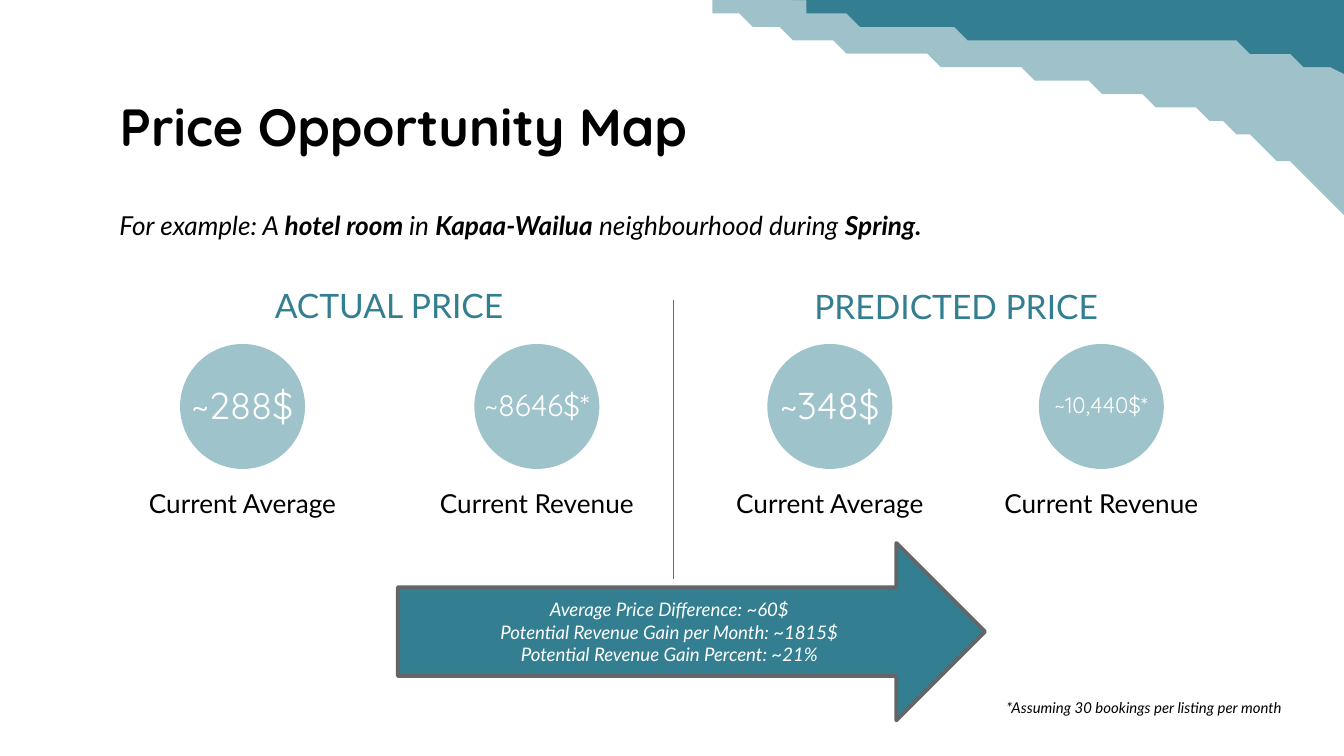
from dataclasses import dataclass
from lxml import etree
from pptx import Presentation
from pptx.dml.color import RGBColor
from pptx.enum.shapes import MSO_CONNECTOR, MSO_SHAPE
from pptx.enum.text import MSO_ANCHOR, MSO_AUTO_SIZE, PP_ALIGN
from pptx.oxml.ns import qn
from pptx.util import Inches, Pt

LEFT, MID, RIGHT = PP_ALIGN.LEFT, PP_ALIGN.CENTER, PP_ALIGN.RIGHT
TOP, CORE = MSO_ANCHOR.TOP, MSO_ANCHOR.MIDDLE
FIXED = MSO_AUTO_SIZE.NONE
OVAL, ARROW = MSO_SHAPE.OVAL, MSO_SHAPE.RIGHT_ARROW
STRAIGHT = MSO_CONNECTOR.STRAIGHT
COLS, ROWS = 100, 56.25
CELL = Inches(10) / COLS


@dataclass(frozen=True)
class Theme:
    teal: str = "337E90"
    mist: str = "9FC3CB"
    edge: str = "636567"
    ink: str = "000000"
    white: str = "FFFFFF"
    body: str = "Lato"
    head: str = "Quicksand"
    title: int = 28
    group: int = 18
    text: int = 14
    gain: int = 10
    note: int = 8


THEME = Theme()


@dataclass(frozen=True)
class Box:
    col: float
    row: float
    cols: float
    rows: float

    def emu(self) -> tuple:
        return tuple(cells(n) for n in (self.col, self.row, self.cols, self.rows))


@dataclass(frozen=True)
class Style:
    size: int
    color: str = THEME.ink
    font: str = THEME.body
    bold: bool = False
    italic: bool = False
    align: PP_ALIGN = MID
    anchor: MSO_ANCHOR = TOP
    after: int = 0
    pad: float = 1


@dataclass(frozen=True)
class Stat:
    center: float
    value: str
    size: int
    label: str


@dataclass(frozen=True)
class Wave:
    start: tuple
    edge: tuple
    curve: tuple
    alpha: int = 100


WAVES = (
    Wave((47.3, -3.4), ((101.6, -10.9), (106.1, 22.1)),
         ((85.3, -3.4), (64.5, 11.1)), 47),
    Wave((53.9, -2.6), ((106.9, -16.4), (115.3, 15.8)),
         ((91.6, -7.1), (72.7, 9.7))),
)
GROUPS = (("ACTUAL PRICE", Box(7.9, 20.2, 42.1, 4.6)),
          ("PREDICTED PRICE", Box(50.1, 20.3, 42.1, 4.6)))
STATS = (
    Stat(18.05, "~288$", 20, "Current Average"),
    Stat(39.95, "~8646$*", 16, "Current Revenue"),
    Stat(61.75, "~348$", 20, "Current Average"),
    Stat(81.95, "~10,440$*", 12, "Current Revenue"),
)
INTRO = (("For example: A ", False), ("hotel room ", True), ("in ", False),
         ("Kapaa-Wailua", True), (" neighbourhood during ", False), ("Spring.", True))
GAINS = ("Average Price Difference: ~60$",
         "Potential Revenue Gain per Month: ~1815$",
         "Potential Revenue Gain Percent: ~21%")


def cells(count: float) -> int:
    return round(count * CELL)


def assign(target, values: dict) -> None:
    for name, value in values.items():
        setattr(target, name, value)


def write(shape, lines: tuple, style: Style) -> None:
    frame = shape.text_frame
    assign(frame, dict(word_wrap=True, auto_size=FIXED, vertical_anchor=style.anchor,
                       margin_left=cells(1), margin_right=cells(1),
                       margin_top=cells(style.pad), margin_bottom=cells(style.pad)))
    for index, line in enumerate(lines):
        para = frame.add_paragraph() if index else frame.paragraphs[0]
        assign(para, dict(alignment=style.align, space_after=Pt(style.after)))
        for text, bold in line:
            run = para.add_run()
            run.text = text
            assign(run.font, dict(name=style.font, size=Pt(style.size),
                                  bold=bold, italic=style.italic))
            run.font.color.rgb = RGBColor.from_string(style.color)


def plain(text: str, bold: bool = False) -> tuple:
    return ((text, bold),)


def label(slide, box: Box, lines: tuple, style: Style) -> None:
    write(slide.shapes.add_textbox(*box.emu()), lines, style)


def paint(shape, color: str) -> None:
    shape.shadow.inherit = False
    shape.fill.solid()
    shape.fill.fore_color.rgb = RGBColor.from_string(color)
    shape.line.fill.background()


def bend(points: tuple, steps: int = 60) -> list:
    result = []
    for step in range(1, steps + 1):
        t = step / steps
        parts = ((1 - t) ** 3, 3 * t * (1 - t) ** 2, 3 * t * t * (1 - t), t ** 3)
        result.append(tuple(sum(w * p[axis] for w, p in zip(parts, points))
                            for axis in (0, 1)))
    return result


def draw_wave(slide, wave: Wave) -> None:
    pen = slide.shapes.build_freeform(*wave.start, scale=CELL)
    pen.add_line_segments(wave.edge, close=False)
    pen.add_line_segments(bend((wave.edge[-1], *wave.curve, wave.start)))
    shape = pen.convert_to_shape()
    paint(shape, THEME.teal)
    if wave.alpha < 100:
        color = shape.fill._xPr.find(".//" + qn("a:srgbClr"))
        etree.SubElement(color, qn("a:alpha")).set("val", str(wave.alpha * 1000))


def draw_stat(slide, stat: Stat) -> None:
    disc = Box(stat.center - 4.65, 25.6, 9.3, 9.3)
    paint(slide.shapes.add_shape(OVAL, *disc.emu()), THEME.mist)
    label(slide, Box(stat.center - 5, 26.4, 10, 7.4), (plain(stat.value),),
          Style(stat.size, THEME.white, THEME.head, anchor=CORE))
    label(slide, Box(stat.center - 8.65, 35.3, 17.3, 7.8), (plain(stat.label),),
          Style(THEME.text, after=16))


def draw_rule(slide) -> None:
    rule = slide.shapes.add_connector(
        STRAIGHT, *(cells(n) for n in (50.1, 43.1, 50.1, 22.3)))
    rule.line.color.rgb = RGBColor.from_string(THEME.teal)
    rule.line.width = Pt(0.75)
    etree.SubElement(rule._element.spPr, qn("a:effectLst"))


def draw_gain(slide) -> None:
    arrow = slide.shapes.add_shape(ARROW, *Box(29.6, 40.4, 43.7, 13.2).emu())
    paint(arrow, THEME.teal)
    arrow.line.color.rgb = RGBColor.from_string(THEME.edge)
    arrow.line.width = Pt(2)
    write(arrow, tuple(plain(text) for text in GAINS),
          Style(THEME.gain, THEME.white, italic=True, anchor=CORE, pad=0.5))


def main() -> None:
    deck = Presentation()
    assign(deck, dict(slide_width=cells(COLS), slide_height=cells(ROWS)))
    slide = deck.slides.add_slide(deck.slide_layouts[5])
    for wave in WAVES:
        draw_wave(slide, wave)
    title = slide.shapes.title
    names = ("left", "top", "width", "height")
    assign(title, dict(zip(names, Box(7.9, 6, 62.5, 16.6).emu())))
    write(title, (plain("Price Opportunity Map", True),),
          Style(THEME.title, font=THEME.head, align=LEFT))
    label(slide, Box(7.9, 15.1, 88.5, 3.4), (INTRO,),
          Style(THEME.text, italic=True, align=LEFT, pad=0.5))
    for name, box in GROUPS:
        label(slide, box, (plain(name),), Style(THEME.group, THEME.teal, after=16))
    for stat in STATS:
        draw_stat(slide, stat)
    draw_rule(slide)
    label(slide, Box(46.2, 51, 50.2, 3.2),
          (plain("*Assuming 30 bookings per listing per month"),),
          Style(THEME.note, italic=True, align=RIGHT))
    draw_gain(slide)
    deck.save("out.pptx")


if __name__ == "__main__":
    main()
